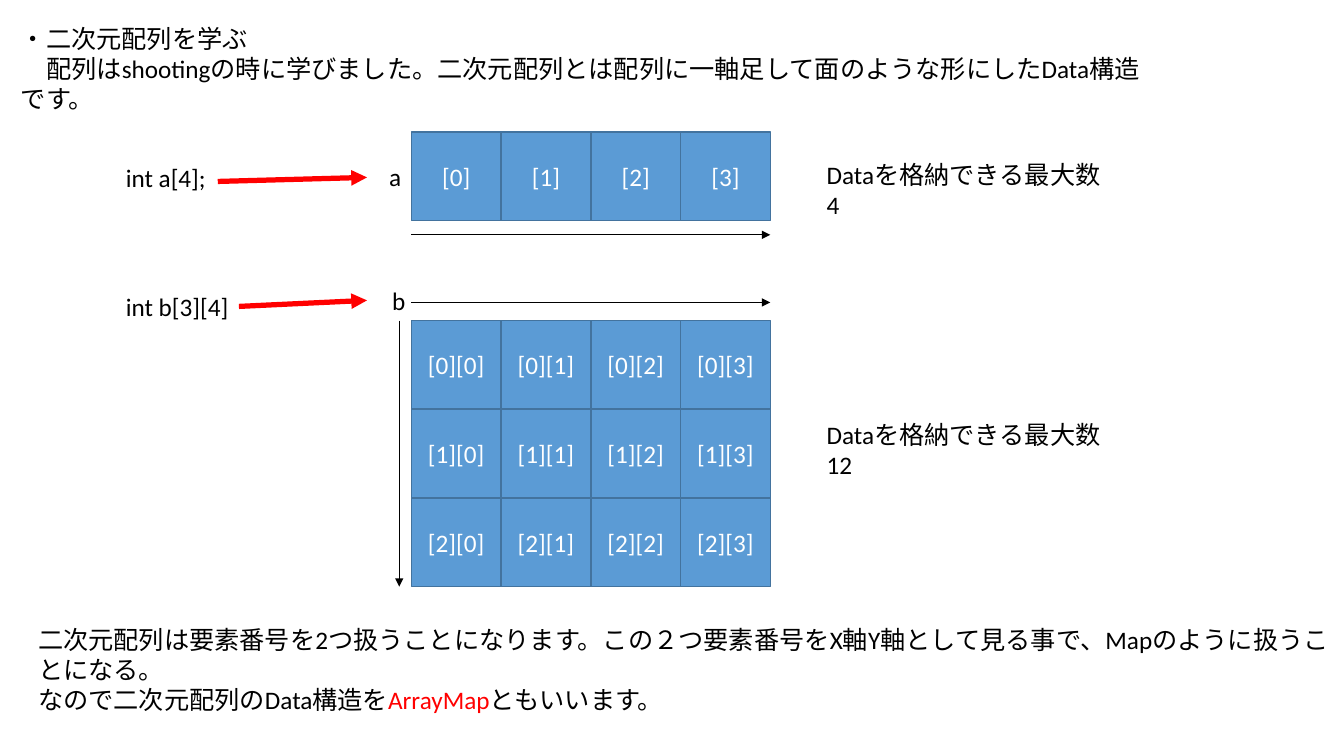
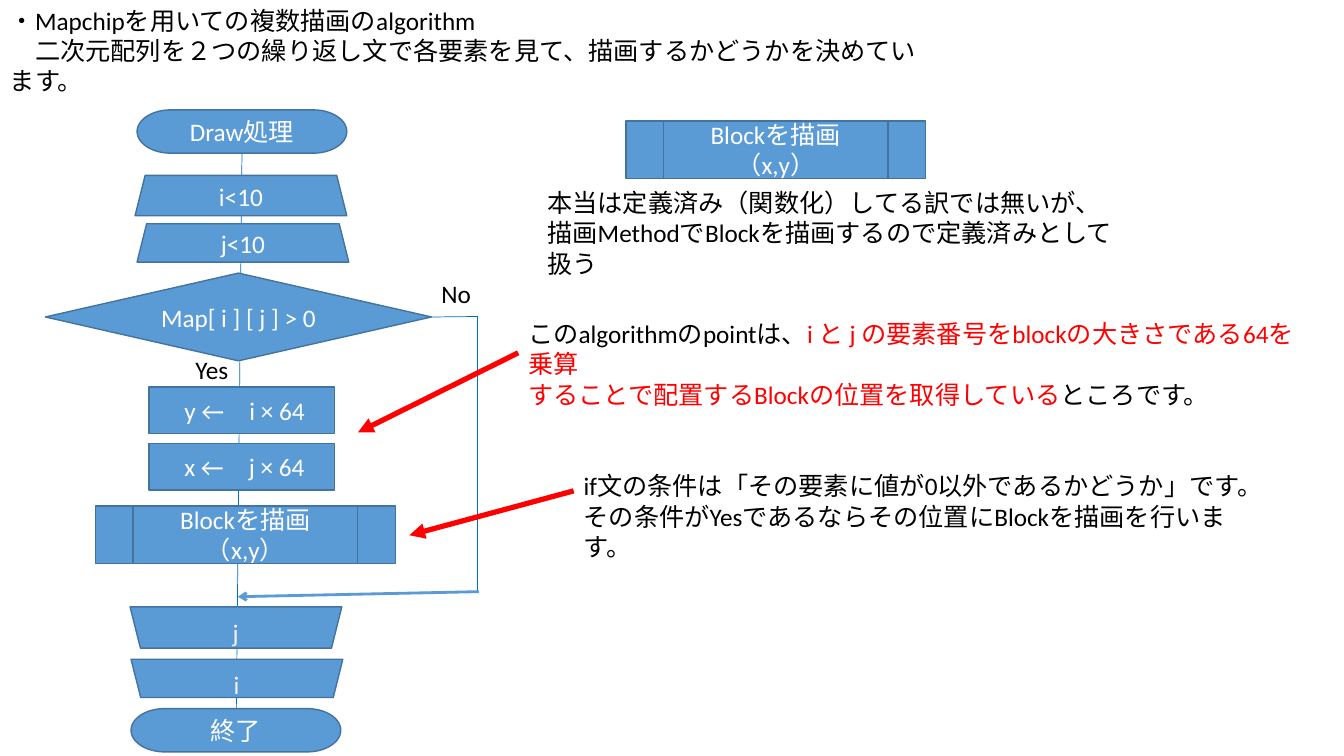
from typing import NamedTuple, Optional, Union

from lxml.etree import SubElement
from pptx import Presentation
from pptx.dml.color import RGBColor
from pptx.enum.shapes import MSO_CONNECTOR, MSO_SHAPE
from pptx.enum.text import MSO_ANCHOR, MSO_AUTO_SIZE, PP_ALIGN
from pptx.oxml.ns import qn
from pptx.shapes.autoshape import Shape
from pptx.shapes.connector import Connector
from pptx.slide import Slide
from pptx.text.text import TextFrame
from pptx.util import Inches, Pt

COLORS = {
    "black": "000000",
    "white": "FFFFFF",
    "pale": "F2F2F2",
    "red": "FF0000",
    "fill": "5B9BD5",
    "outline": "43739E",
    "flow": "0070C0",
}
FONT = "Calibri"
FONT_SIZE = 18


class Span(NamedTuple):
    text: str
    color: str


# A paragraph is one string, or a list of coloured spans
Para = Union[str, list[Span]]


class Note(NamedTuple):
    left: float
    top: float
    width: float
    height: float
    paras: list[Para]
    color: str = "black"
    wrap: bool = True


class Box(NamedTuple):
    kind: MSO_SHAPE
    left: float
    top: float
    width: float
    height: float
    text: str = ""
    align: PP_ALIGN = PP_ALIGN.CENTER
    rotation: int = 0


class Line(NamedTuple):
    x1: float
    y1: float
    x2: float
    y2: float
    color: str
    width: float
    head: Optional[str] = None


def label(left: float, top: float, width: float, text: str,
          height: float = 0.4, color: str = "black") -> Note:
    return Note(left, top, width, height, [text], color, wrap=False)


def pointer(x1: float, y1: float, x2: float, y2: float) -> Line:
    return Line(x1, y1, x2, y2, "red", 3.75, "triangle")


def axis(x1: float, y1: float, x2: float, y2: float) -> Line:
    return Line(x1, y1, x2, y2, "black", 0.5, "triangle")


def flow(x1: float, y1: float, x2: float, y2: float) -> Line:
    return Line(x1, y1, x2, y2, "flow", 0.5)


def rgb(name: str) -> RGBColor:
    return RGBColor.from_string(COLORS[name])


def write(tf: TextFrame, paras: list[Para], color: str, align: PP_ALIGN) -> None:
    for i, para in enumerate(paras):
        p = tf.paragraphs[0] if i == 0 else tf.add_paragraph()
        p.alignment = align
        p.font.name = FONT
        p.font.size = Pt(FONT_SIZE)
        if isinstance(para, str):
            p.font.color.rgb = rgb(color)
            p.add_run().text = para
            continue
        for span in para:
            r = p.add_run()
            r.text = span.text
            r.font.color.rgb = rgb(span.color)


def add_note(s: Slide, note: Note) -> None:
    sp = s.shapes.add_textbox(Inches(note.left), Inches(note.top),
                              Inches(note.width), Inches(note.height))
    tf = sp.text_frame
    tf.word_wrap = note.wrap
    tf.auto_size = MSO_AUTO_SIZE.SHAPE_TO_FIT_TEXT
    write(tf, note.paras, note.color, PP_ALIGN.LEFT)


def add_box(s: Slide, box: Box) -> Shape:
    sp = s.shapes.add_shape(box.kind, Inches(box.left), Inches(box.top),
                            Inches(box.width), Inches(box.height))
    sp.shadow.inherit = False
    sp.rotation = box.rotation
    sp.fill.solid()
    sp.fill.fore_color.rgb = rgb("fill")
    sp.line.color.rgb = rgb("outline")
    sp.line.width = Pt(1)
    if box.text:
        tf = sp.text_frame
        tf.word_wrap = True
        tf.vertical_anchor = MSO_ANCHOR.MIDDLE
        write(tf, [box.text], "white", box.align)
    return sp


def add_line(s: Slide, line: Line) -> Connector:
    cx = s.shapes.add_connector(MSO_CONNECTOR.STRAIGHT, Inches(line.x1), Inches(line.y1),
                                Inches(line.x2), Inches(line.y2))
    cx.line.color.rgb = rgb(line.color)
    cx.line.width = Pt(line.width)
    if line.head:
        SubElement(cx.line._get_or_add_ln(), qn("a:tailEnd"), type=line.head)
    SubElement(cx._element.spPr, qn("a:effectLst"))
    return cx


def build_arrays(s: Slide) -> None:
    left, cell_w, cell_h, cols, rows = 4.08, 0.89, 0.88, 4, 3
    a_top, b_top = 1.31, 3.18
    right, bottom = left + cols * cell_w, b_top + rows * cell_h

    # Array cells
    for col in range(cols):
        x = left + col * cell_w
        add_box(s, Box(MSO_SHAPE.RECTANGLE, x, a_top, cell_w, cell_h, f"[{col}]"))
        for row in range(rows):
            add_box(s, Box(MSO_SHAPE.RECTANGLE, x, b_top + row * cell_h,
                           cell_w, cell_h, f"[{row}][{col}]"))

    # Axes and pointers
    for line in (
        axis(left, 2.33, right, 2.33),
        axis(left, 3, right, 3),
        axis(3.96, b_top, 3.96, bottom),
        pointer(2.16, 1.8, 3.64, 1.76),
        pointer(2.37, 3.04, 3.64, 2.98),
    ):
        add_line(s, line)

    # Heading, labels and explanations
    for note in (
        Note(0.11, 0.18, 11.37, 0.71, [
            "・二次元配列を学ぶ",
            "　配列はshootingの時に学びました。二次元配列とは配列に一軸足して面のような形にしたData構造です。",
        ]),
        label(3.76, 1.55, 0.32, "a"),
        label(1.15, 1.56, 1, "int a[4];"),
        label(1.15, 2.84, 1.23, "int b[3][4]"),
        label(3.79, 2.78, 0.34, "b"),
        Note(8.1, 1.53, 2.94, 0.4, ["Dataを格納できる最大数4"]),
        Note(8.1, 4.11, 3.07, 0.4, ["Dataを格納できる最大数12"]),
        Note(0.28, 6.14, 13.04, 0.71, [
            "二次元配列は要素番号を2つ扱うことになります。この２つ要素番号をX軸Y軸として見る事で、Mapのように扱うことになる。",
            [Span("なので二次元配列のData構造を", "black"), Span("ArrayMap", "red"),
             Span("ともいいます。", "black")],
        ]),
    ):
        add_note(s, note)


def build_flowchart(s: Slide) -> None:
    # Main flow line lies behind the steps
    trunk = add_line(s, flow(2.4, 1.52, 2.34, 7.46))

    # Steps
    start = add_box(s, Box(MSO_SHAPE.FLOWCHART_TERMINATOR, 1.36, 1.09, 2.08, 0.43, "Draw処理"))
    decision = add_box(s, Box(MSO_SHAPE.FLOWCHART_DECISION, 0.45, 2.71, 3.83, 0.87,
                              "Map[ i ] [ j ] > 0"))
    end = add_box(s, Box(MSO_SHAPE.FLOWCHART_TERMINATOR, 1.3, 7.03, 2.08, 0.43, "終了"))
    trunk.begin_connect(start, 2)
    trunk.end_connect(end, 2)
    for box in (
        Box(MSO_SHAPE.TRAPEZOID, 1.34, 1.74, 2.1, 0.4, "i<10"),
        Box(MSO_SHAPE.TRAPEZOID, 1.36, 2.22, 2.1, 0.38, "j<10"),
        Box(MSO_SHAPE.FLOWCHART_PROCESS, 1.48, 3.84, 1.84, 0.46, "　y ←　i × 64", PP_ALIGN.LEFT),
        Box(MSO_SHAPE.FLOWCHART_PROCESS, 1.48, 4.4, 1.84, 0.46, "　x ←　j × 64", PP_ALIGN.LEFT),
        Box(MSO_SHAPE.TRAPEZOID, 1.29, 6.02, 2.1, 0.41, rotation=180),
        Box(MSO_SHAPE.TRAPEZOID, 1.3, 6.54, 2.1, 0.38, rotation=180),
    ):
        add_box(s, box)
    for left, top in ((0.95, 5.02), (6.21, 1.2)):
        add_box(s, Box(MSO_SHAPE.FLOWCHART_PREDEFINED_PROCESS, left, top, 2.97, 0.57,
                       "Blockを描画（x,y）"))

    # "No" branch and pointers
    branch = add_line(s, flow(4.28, 3.14, 4.73, 3.14))
    branch.begin_connect(decision, 3)
    for line in (
        flow(4.73, 3.14, 4.73, 5.87),
        Line(4.75, 5.87, 2.36, 5.92, "fill", 2, "arrow"),
        pointer(5.69, 4.87, 4.06, 5.31),
        pointer(5.14, 3.5, 3.55, 4.29),
    ):
        add_line(s, line)

    # Heading, labels and explanations
    for note in (
        Note(0, 0, 9.19, 0.71, [
            "・Mapchipを用いての複数描画のalgorithm",
            "　二次元配列を２つの繰り返し文で各要素を見て、描画するかどうかを決めています。",
        ]),
        label(2.21, 6.07, 0.26, "j", 0.32, "pale"),
        label(2.22, 6.59, 0.26, "i", 0.29, "pale"),
        label(4.28, 2.71, 0.5, "No"),
        label(1.84, 3.47, 0.53, "Yes"),
        Note(5.33, 1.81, 6.02, 0.71, [
            "本当は定義済み（関数化）してる訳では無いが、",
            "描画MethodでBlockを描画するので定義済みとして扱う",
        ]),
        Note(5.14, 3.11, 7.9, 0.71, [
            [Span("このalgorithmのpointは、", "black"),
             Span("i と j の要素番号をblockの大きさである64を乗算", "red")],
            [Span("することで配置するBlockの位置を取得している", "red"),
             Span("ところです。", "black")],
        ]),
        Note(5.69, 4.62, 6.73, 1.01, [
            "if文の条件は「その要素に値が0以外であるかどうか」です。",
            "その条件がYesであるならその位置にBlockを描画を行います。",
        ]),
    ):
        add_note(s, note)


def main() -> None:
    prs = Presentation()
    prs.slide_width, prs.slide_height = Inches(13.33), Inches(7.5)
    for build in (build_arrays, build_flowchart):
        build(prs.slides.add_slide(prs.slide_layouts[6]))
    prs.save("out.pptx")


if __name__ == "__main__":
    main()
